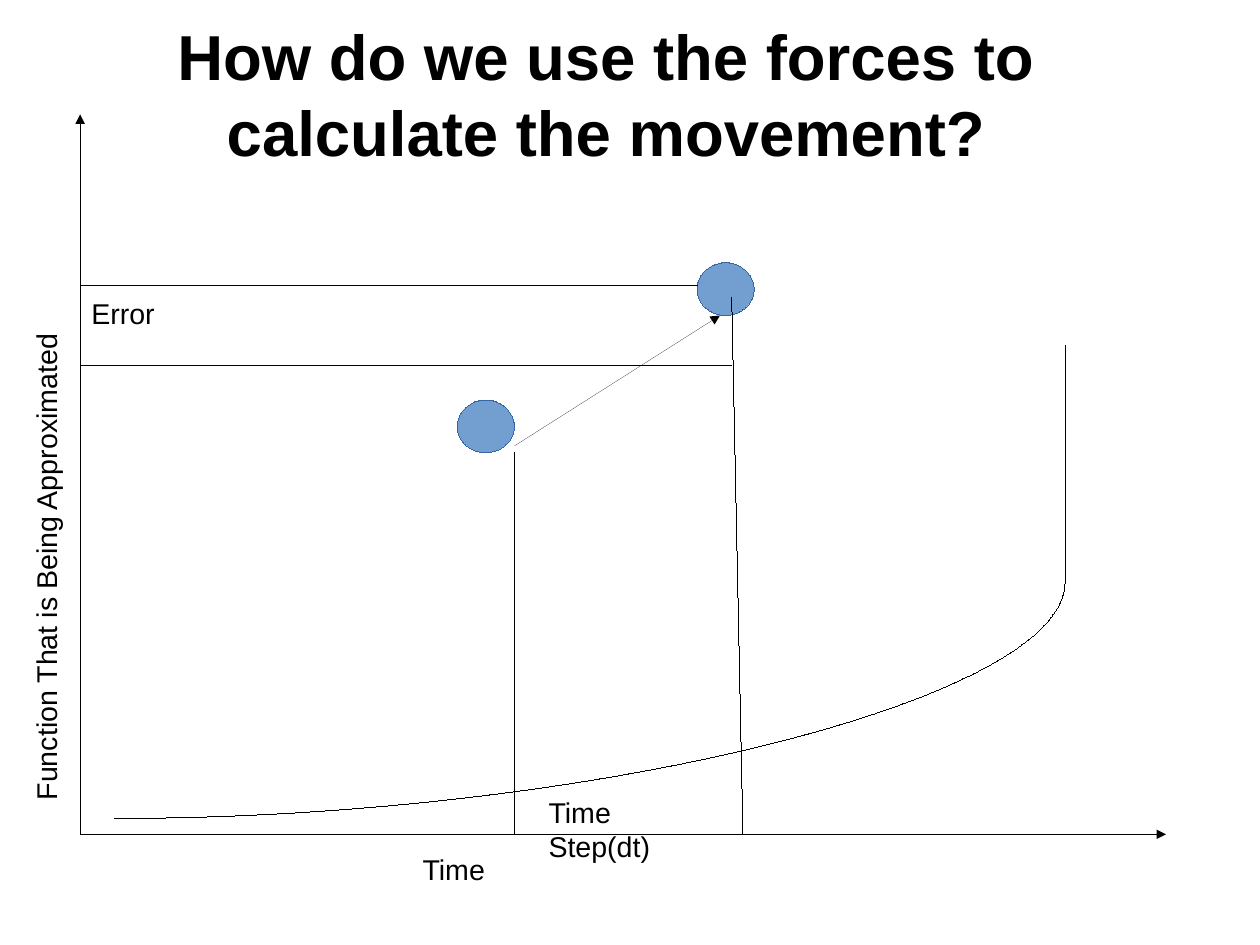
from dataclasses import dataclass

from lxml import etree
from pptx import Presentation
from pptx.dml.color import RGBColor
from pptx.enum.shapes import MSO_CONNECTOR, MSO_SHAPE
from pptx.enum.text import MSO_ANCHOR, MSO_AUTO_SIZE, PP_ALIGN
from pptx.oxml.ns import qn
from pptx.util import Cm, Pt

STRAIGHT, CURVE = MSO_CONNECTOR.STRAIGHT, MSO_CONNECTOR.CURVE
ELLIPSE = MSO_SHAPE.OVAL
TOP = MSO_ANCHOR.TOP
NO_FIT = MSO_AUTO_SIZE.NONE
LEFT, CENTER = PP_ALIGN.LEFT, PP_ALIGN.CENTER

COLORS = {"ink": "000000", "ball": "729FCF", "ball edge": "3465A4", "paper": "FFFFFF"}
FONT = "Arial"
HAIRLINE = Pt(0.01)
BALL_WIDTH, BALL_HEIGHT = 1.27, 1.17

# Shared positions in cm
AXIS_X, AXIS_Y = 1.78, 18.54
STEP_START_X = 11.43
ERROR_TOP, ERROR_BOTTOM = 6.35, 8.13


@dataclass(frozen=True)
class Line:
    start: tuple[float, float]
    end: tuple[float, float]
    arrow: bool = False
    curved: bool = False


@dataclass(frozen=True)
class Ball:
    left: float
    top: float


@dataclass(frozen=True)
class Label:
    text: str
    left: float
    top: float
    width: float
    height: float
    rotation: float = 0


# Back to front
PLOT = [
    Line((2.54, 18.19), (23.67, 7.67), curved=True),
    Line((AXIS_X, AXIS_Y), (AXIS_X, 2.54), arrow=True),
    Line((AXIS_X, AXIS_Y), (25.91, AXIS_Y), arrow=True),
    Ball(10.16, 8.89),
    Line((STEP_START_X, 9.91), (16, 7.01), arrow=True),
    Ball(15.49, 5.84),
    Line((STEP_START_X, AXIS_Y), (STEP_START_X, 10.06)),
    Line((16.51, AXIS_Y), (16.26, 6.6)),
    Label("Time Step(dt)", 11.94, 17.53, 4.2, 1.68),
    Line((16.26, ERROR_BOTTOM), (AXIS_X, ERROR_BOTTOM)),
    Line((15.49, ERROR_TOP), (AXIS_X, ERROR_TOP)),
    Label("Error", AXIS_X, 6.45, 4.32, 1.02),
    Label("Time", 9.14, 18.8, 14.48, 0.97),
    Label("Function That is Being Approximated", -6.25, 10.31, 14.48, 0.97, 270),
]


def color(name: str) -> RGBColor:
    return RGBColor.from_string(COLORS[name])


def write(frame, text: str, size: float, align=LEFT, bold: bool = False) -> None:
    frame.word_wrap = True
    frame.auto_size = NO_FIT
    frame.vertical_anchor = TOP
    frame.margin_left = frame.margin_right = Cm(0.25)
    frame.margin_top = frame.margin_bottom = Cm(0.13)
    paragraph = frame.paragraphs[0]
    paragraph.alignment = align
    run = paragraph.add_run()
    run.text = text
    run.font.name = FONT
    run.font.size = Pt(size)
    run.font.bold = bold
    run.font.color.rgb = color("ink")


def draw_line(slide, line: Line) -> None:
    ends = [Cm(value) for value in (*line.start, *line.end)]
    connector = slide.shapes.add_connector(CURVE if line.curved else STRAIGHT, *ends)
    connector.line.color.rgb = color("ink")
    connector.line.width = HAIRLINE
    properties = connector._element.spPr
    if line.arrow:
        etree.SubElement(properties.find(qn("a:ln")), qn("a:tailEnd"), type="triangle")
    if line.curved:
        # The bend lies at the far end, so the curve finishes vertically
        adjustments = properties.find(qn("a:prstGeom")).find(qn("a:avLst"))
        etree.SubElement(adjustments, qn("a:gd"), name="adj1", fmla="val 100000")
    etree.SubElement(properties, qn("a:effectLst"))


def draw_ball(slide, ball: Ball) -> None:
    circle = slide.shapes.add_shape(
        ELLIPSE, Cm(ball.left), Cm(ball.top), Cm(BALL_WIDTH), Cm(BALL_HEIGHT)
    )
    circle.shadow.inherit = False
    circle.fill.solid()
    circle.fill.fore_color.rgb = color("ball")
    circle.line.color.rgb = color("ball edge")
    circle.line.width = HAIRLINE


def draw_label(slide, label: Label) -> None:
    caption = slide.shapes.add_textbox(
        Cm(label.left), Cm(label.top), Cm(label.width), Cm(label.height)
    )
    caption.rotation = label.rotation
    write(caption.text_frame, label.text, 18)


def main() -> None:
    deck = Presentation()
    deck.slide_width, deck.slide_height = Cm(28), Cm(21)
    slide = deck.slides.add_slide(deck.slide_layouts[5])
    slide.background.fill.solid()
    slide.background.fill.fore_color.rgb = color("paper")

    # Title
    title = slide.shapes.title
    title.left, title.top, title.width, title.height = Cm(3.3), Cm(0.25), Cm(20.32), Cm(3.4)
    question = "How do we use the forces to calculate the movement?"
    write(title.text_frame, question, 40, CENTER, bold=True)

    # Plot
    painters = {Line: draw_line, Ball: draw_ball, Label: draw_label}
    for part in PLOT:
        painters[type(part)](slide, part)

    deck.save("out.pptx")


if __name__ == "__main__":
    main()
